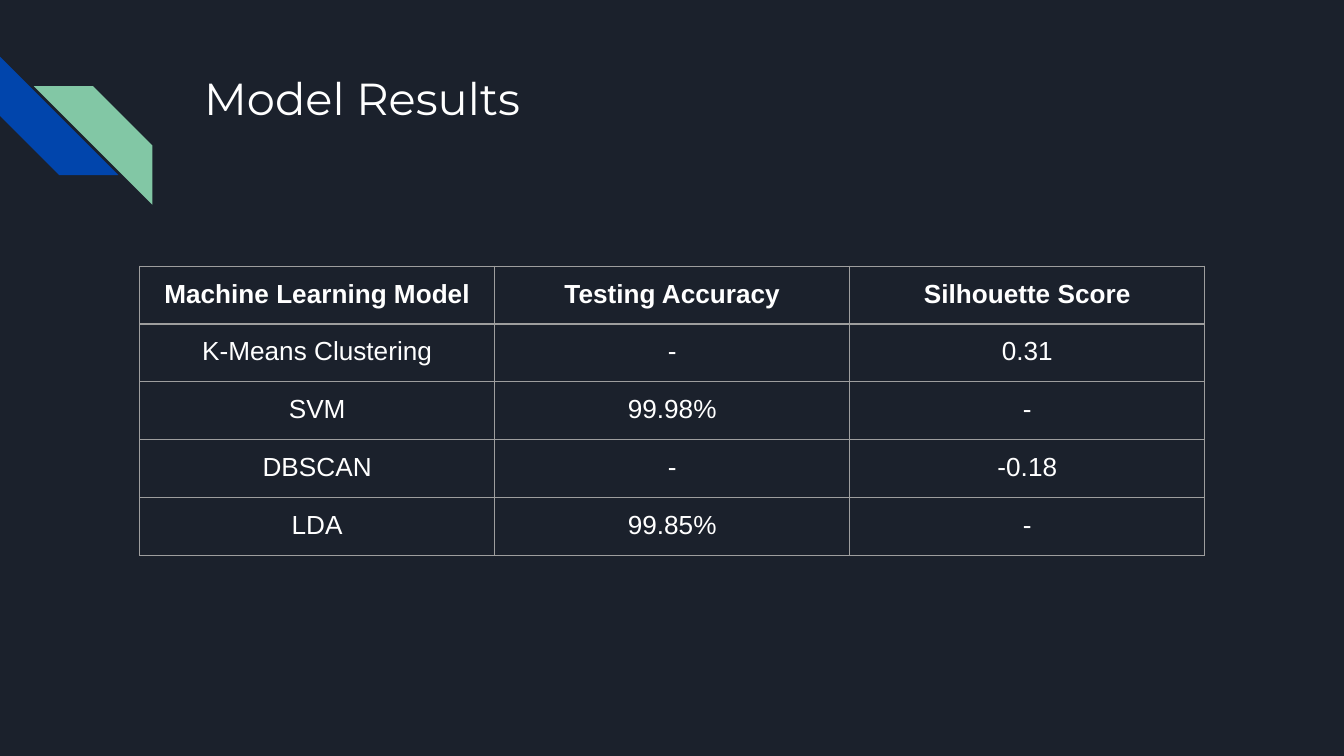
from lxml import etree
from pptx import Presentation, util as u
from pptx.dml import color as c
from pptx.enum import shapes, text
from pptx.oxml import ns

tint = {"back": "1B212C", "blue": "0145AC", "green": "82C7A5",
        "white": "FFFFFF", "rule": "9E9E9E"}
pad = dict.fromkeys(
    ["margin_left", "margin_right", "margin_top", "margin_bottom"], u.Cm(0.25))


def rgb(name):
    return c.RGBColor.from_string(tint[name])


def write(para, words, **form):
    run = para.add_run()
    run.text = words
    run.font.color.rgb = rgb("white")
    for key, val in form.items():
        setattr(run.font, key, val)


deck = Presentation()
deck.slide_width, deck.slide_height = u.Cm(25.4), u.Cm(14.29)
slide = deck.slides.add_slide(deck.slide_layouts[6])
slide.background.fill.solid()
slide.background.fill.fore_color.rgb = rgb("back")

side = u.Cm(2.24)
for left, top, turn, hue in [(0, 1.07, 270, "blue"), (0.64, 1.63, 90, "green")]:
    stripe = slide.shapes.add_shape(
        shapes.MSO_SHAPE.DIAGONAL_STRIPE, u.Cm(left), u.Cm(top), side, side)
    stripe.rotation = turn
    stripe.adjustments[0] = 0.5
    stripe.shadow.inherit = False
    stripe.fill.solid()
    stripe.fill.fore_color.rgb = rgb(hue)
    stripe.line.fill.background()

title = slide.shapes.add_textbox(
    u.Cm(3.61), u.Cm(1.09), u.Cm(19.56), u.Cm(2.54)).text_frame
for key, val in {**pad, "word_wrap": True}.items():
    setattr(title, key, val)
write(title.paragraphs[0], "Model Results", name="Montserrat", size=u.Pt(24))

rows = [
    ["Machine Learning Model", "Testing Accuracy", "Silhouette Score"],
    ["K-Means Clustering", "-", "0.31"],
    ["SVM", "99.98%", "-"],
    ["DBSCAN", "-", "-0.18"],
    ["LDA", "99.85%", "-"],
]
wide, high = u.Cm(6.71), u.Cm(1.06)
table = slide.shapes.add_table(
    len(rows), len(rows[0]), u.Cm(2.64), u.Cm(5.03),
    wide * len(rows[0]), high * len(rows)).table
table.first_row = table.horz_banding = False
for col in table.columns:
    col.width = wide
for row in table.rows:
    row.height = high

for r, row in enumerate(rows):
    for k, words in enumerate(row):
        cell = table.cell(r, k)
        for key, val in pad.items():
            setattr(cell, key, val)
        para = cell.text_frame.paragraphs[0]
        para.alignment = text.PP_ALIGN.CENTER
        write(para, words, name="Arial", size=u.Pt(14), bold=r == 0)
        cell.fill.background()
        props = cell._tc.get_or_add_tcPr()
        for i, edge in enumerate(["a:lnL", "a:lnR", "a:lnT", "a:lnB"]):
            line = etree.Element(ns.qn(edge), w=str(u.Pt(0.75)))
            fill = etree.SubElement(line, ns.qn("a:solidFill"))
            etree.SubElement(fill, ns.qn("a:srgbClr"), val=tint["rule"])
            props.insert(i, line)

deck.save("out.pptx")
